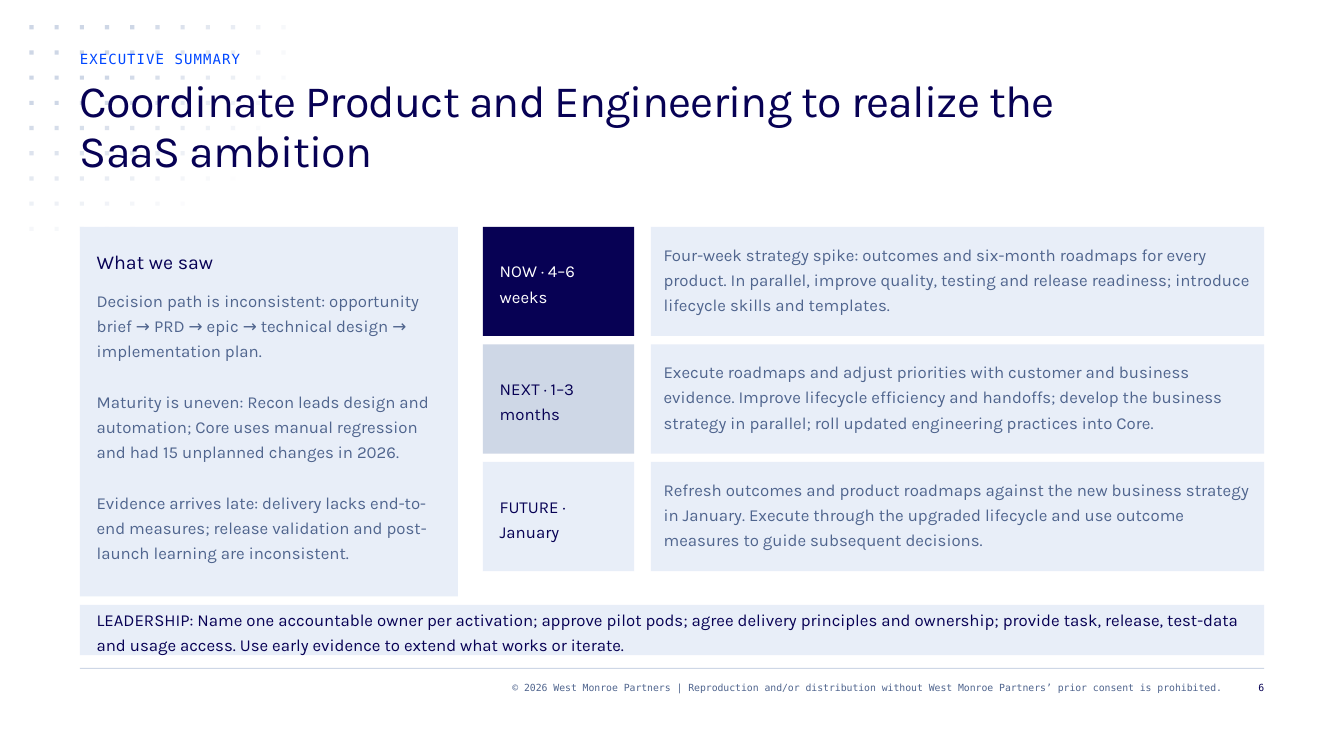
"""Build the executive summary slide on coordinating Product and Engineering."""
from math import hypot

from lxml import etree
from pptx import Presentation
from pptx.dml.color import RGBColor
from pptx.enum.shapes import MSO_SHAPE
from pptx.enum.text import MSO_ANCHOR, MSO_AUTO_SIZE, PP_ALIGN
from pptx.oxml.ns import qn
from pptx.util import Pt

RECTANGLE = MSO_SHAPE.RECTANGLE
TOP = MSO_ANCHOR.TOP
NO_AUTOFIT = MSO_AUTO_SIZE.NONE
LEFT, RIGHT = PP_ALIGN.LEFT, PP_ALIGN.RIGHT
PX = 9525
NAVY, SLATE, MIST, PALE = "070154", "50658E", "CED7E6", "E8EEF8"
BLUE, WHITE = "0047FF", "FFFFFF"
SANS, MONO = "Karla", "DejaVu Sans Mono"

prs = Presentation()
prs.slide_width, prs.slide_height = 1280 * PX, 720 * PX
slide = prs.slides.add_slide(prs.slide_layouts[1])
shapes = slide.shapes


def add_block(x, y, width, height, fill, opacity=100):
    """Add a plain filled rectangle, sized in px."""
    block = shapes.add_shape(RECTANGLE, x * PX, y * PX, width * PX, height * PX)
    block.shadow.inherit = False
    block.line.fill.background()
    block.fill.solid()
    block.fill.fore_color.rgb = RGBColor.from_string(fill)
    if opacity < 100:
        color = block.element.spPr.find(qn("a:solidFill"))[0]
        etree.SubElement(color, qn("a:alpha"), val=str(opacity * 1000))
    return block


def write(holder, *paragraphs, size=12, leading=18, color=NAVY, font=SANS,
          align=LEFT, gap=0, tracking=0, inset_x=0, inset_y=0):
    """Fill a shape with formatted paragraphs."""
    frame = holder.text_frame
    frame.word_wrap = True
    frame.auto_size = NO_AUTOFIT
    frame.vertical_anchor = TOP
    frame.margin_left = frame.margin_right = inset_x * PX
    frame.margin_top, frame.margin_bottom = inset_y * PX, 0
    for index, text in enumerate(paragraphs):
        paragraph = frame.add_paragraph() if index else frame.paragraphs[0]
        properties = paragraph._p.get_or_add_pPr()
        properties.set("marL", "0")
        properties.set("indent", "0")
        etree.SubElement(properties, qn("a:buNone"))
        paragraph.alignment = align
        paragraph.line_spacing = Pt(leading)
        paragraph.space_before = Pt(gap if index else 0)
        paragraph.space_after = Pt(0)
        run = paragraph.add_run()
        run.text = text
        run.font.size = Pt(size)
        run.font.name = font
        run.font.color.rgb = RGBColor.from_string(color)
        if tracking:
            run._r.get_or_add_rPr().set("spc", str(tracking))


add_block(76, 636, 1128, 1, MIST)
for column in range(12):
    for row in range(9):
        opacity = 154 - hypot(13.9 * column, 16.8 * (row + 0.1))
        if opacity > 1.5:
            add_block(28 + 24 * column, 24 + 24 * row, 4, 4, MIST, min(100, round(opacity)))

footer_format = dict(size=7, leading=9, font=MONO, align=RIGHT)
copyright_line = shapes.add_textbox(228 * PX, 648 * PX, 936 * PX, 24 * PX)
write(copyright_line,
      "© 2026 West Monroe Partners | Reproduction and/or distribution without "
      "West Monroe Partners’ prior consent is prohibited.",
      color=SLATE, **footer_format)
page_number = shapes.add_textbox(1172 * PX, 648 * PX, 32 * PX, 24 * PX)
write(page_number, "6", **footer_format)

findings_panel = add_block(76, 216, 360, 352, PALE)
write(findings_panel, "What we saw", size=14, leading=21, inset_x=16, inset_y=16)

phases = [
    ("NOW · 4–6 weeks", NAVY, WHITE,
     "Four-week strategy spike: outcomes and six-month roadmaps for every product. "
     "In parallel, improve quality, testing and release readiness; introduce "
     "lifecycle skills and templates."),
    ("NEXT · 1–3 months", MIST, NAVY,
     "Execute roadmaps and adjust priorities with customer and business evidence. "
     "Improve lifecycle efficiency and handoffs; develop the business strategy in "
     "parallel; roll updated engineering practices into Core."),
    ("FUTURE · January", PALE, NAVY,
     "Refresh outcomes and product roadmaps against the new business strategy in "
     "January. Execute through the upgraded lifecycle and use outcome measures to "
     "guide subsequent decisions."),
]
for index, (timing, timing_fill, timing_color, actions) in enumerate(phases):
    phase_top = 216 + 112 * index
    timing_block = add_block(460, phase_top, 144, 104, timing_fill)
    write(timing_block, timing, color=timing_color, inset_x=16, inset_y=28)
    actions_block = add_block(620, phase_top, 584, 104, PALE)
    write(actions_block, actions, color=SLATE, inset_x=12, inset_y=12)

leadership = add_block(76, 576, 1128, 48, PALE)
write(leadership,
      "LEADERSHIP: Name one accountable owner per activation; approve pilot pods; "
      "agree delivery principles and ownership; provide task, release, test-data and "
      "usage access. Use early evidence to extend what works or iterate.",
      inset_x=16)

headline, findings = shapes.title, slide.placeholders[1]
for holder, (x, y, width, height) in ((findings, (92, 272, 328, 264)),
                                      (headline, (76, 72, 984, 96))):
    holder.left, holder.top = x * PX, y * PX
    holder.width, holder.height = width * PX, height * PX
    holder.element.getparent().append(holder.element)
write(findings,
      "Decision path is inconsistent: opportunity brief → PRD → epic → technical "
      "design → implementation plan.",
      "Maturity is uneven: Recon leads design and automation; Core uses manual "
      "regression and had 15 unplanned changes in 2026.",
      "Evidence arrives late: delivery lacks end-to-end measures; release validation "
      "and post-launch learning are inconsistent.",
      color=SLATE, gap=18)
write(headline, "Coordinate Product and Engineering to realize the SaaS ambition",
      size=32, leading=36, tracking=-60)

section_label = shapes.add_textbox(76 * PX, 48 * PX, 984 * PX, 24 * PX)
write(section_label, "EXECUTIVE SUMMARY", size=10, leading=12, color=BLUE,
      font=MONO, tracking=80)

prs.save("out.pptx")
